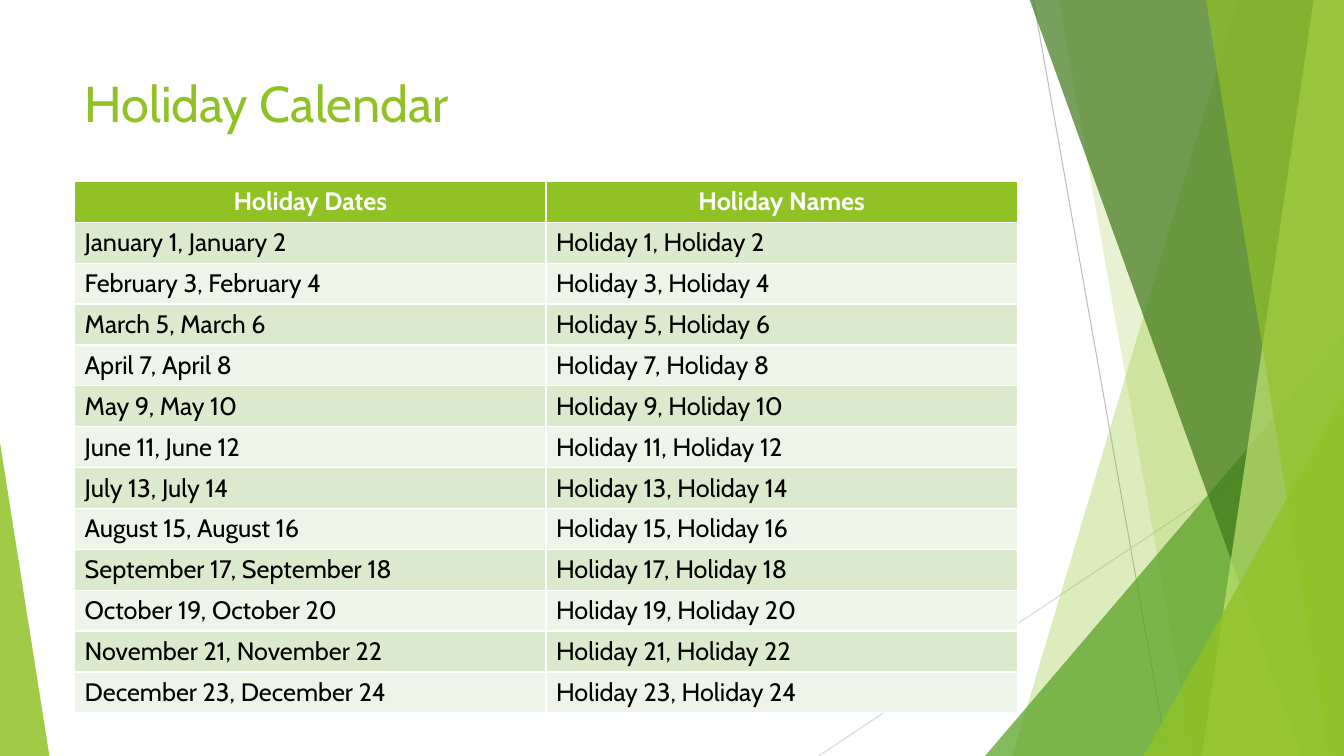
"""Build the Holiday Calendar slide."""
from lxml import etree
from pptx import Presentation
from pptx.dml.color import RGBColor
from pptx.enum import shapes, text
from pptx.oxml import ns
from pptx.util import Inches, Pt

FONT = "Cabin"
LIME = RGBColor(0x90, 0xC2, 0x26)
GREEN = RGBColor(0x54, 0xA0, 0x21)
FOREST = RGBColor(0x3F, 0x78, 0x19)
PALE_LIME = RGBColor(0xC0, 0xE4, 0x74)
GREY = RGBColor(0xBF, 0xBF, 0xBF)
LIGHT_GREY = RGBColor(0xD9, 0xD9, 0xD9)
BAND_DARK = RGBColor(0xDB, 0xE9, 0xCD)
BAND_LIGHT = RGBColor(0xEE, 0xF4, 0xE8)
WHITE = RGBColor(0xFF, 0xFF, 0xFF)
BLACK = RGBColor(0x00, 0x00, 0x00)

RIGHT, TOP, BOTTOM = 13.33, -0.01, 7.5
MONTHS = ["January", "February", "March", "April", "May", "June", "July",
          "August", "September", "October", "November", "December"]


def add_line(s, start, end, color):
    ln = s.shapes.add_connector(shapes.MSO_CONNECTOR.STRAIGHT,
                                *map(Inches, start + end))
    ln.line.color.rgb = color
    ln.line.width = Pt(0.75)
    etree.SubElement(ln._element.spPr, ns.qn("a:effectLst"))


def paint(sp, color, opacity):
    sp.shadow.inherit = False
    sp.line.fill.background()
    sp.fill.solid()
    sp.fill.fore_color.rgb = color
    clr = sp._element.spPr.find(".//" + ns.qn("a:srgbClr"))
    etree.SubElement(clr, ns.qn("a:alpha"), val=str(opacity * 1000))


def add_shard(s, top_x, bottom_x, color, opacity):
    corners = [(RIGHT, TOP), (RIGHT, BOTTOM), (bottom_x, BOTTOM)]
    fb = s.shapes.build_freeform(Inches(top_x), Inches(TOP))
    fb.add_line_segments([(Inches(x), Inches(y)) for x, y in corners])
    paint(fb.convert_to_shape(), color, opacity)


def add_triangle(s, box, apex, color, opacity):
    sp = s.shapes.add_shape(shapes.MSO_SHAPE.ISOSCELES_TRIANGLE,
                            *map(Inches, box))
    sp.adjustments[0] = apex
    paint(sp, color, opacity)


def add_facets(s):
    add_line(s, (10.25, 0), (11.58, 7.5), GREY)
    add_line(s, (13.33, 4.03), (8.12, 7.5), LIGHT_GREY)
    add_shard(s, 12.28, 10.04, LIME, 30)
    add_shard(s, 10.5, 11.83, LIME, 20)
    add_triangle(s, (9.77, 3.33, 3.56, 4.17), 1, GREEN, 72)
    add_shard(s, 10.21, 12.91, FOREST, 70)
    add_shard(s, 13.03, 11.92, PALE_LIME, 70)
    add_shard(s, 11.96, 13.18, LIME, 65)
    add_triangle(s, (11.34, 3.93, 1.99, 3.57), 1, LIME, 80)
    add_triangle(s, (0, 4.39, 0.49, 3.11), 0, LIME, 85)


def set_title(s, title):
    sp = s.shapes.title
    sp.left, sp.top, sp.width, sp.height = map(Inches, (0.74, 0.67, 9.4, 1.44))
    tf = sp.text_frame
    tf.text = title
    tf.vertical_anchor = text.MSO_ANCHOR.TOP
    p = tf.paragraphs[0]
    p.alignment = text.PP_ALIGN.LEFT
    p.font.name, p.font.size = FONT, Pt(36)
    p.font.color.rgb = LIME


def fill_cell(cell, words, fill, color, header):
    cell.fill.solid()
    cell.fill.fore_color.rgb = fill
    cell.vertical_anchor = text.MSO_ANCHOR.MIDDLE
    cell.text = words
    p = cell.text_frame.paragraphs[0]
    p.alignment = text.PP_ALIGN.CENTER if header else text.PP_ALIGN.LEFT
    p.font.name, p.font.size, p.font.bold = FONT, Pt(18), header
    p.font.color.rgb = color


def add_calendar(s):
    rows = [("Holiday Dates", "Holiday Names")]
    for i, month in enumerate(MONTHS):
        a, b = 2 * i + 1, 2 * i + 2
        rows.append((f"{month} {a}, {month} {b}", f"Holiday {a}, Holiday {b}"))
    tbl = s.shapes.add_table(len(rows), 2, Inches(0.74), Inches(1.8),
                             Inches(9.35), Inches(5.2)).table
    for i, row in enumerate(rows):
        header = i == 0
        fill = LIME if header else BAND_DARK if i % 2 else BAND_LIGHT
        for j, words in enumerate(row):
            fill_cell(tbl.cell(i, j), words, fill,
                      WHITE if header else BLACK, header)


def main():
    prs = Presentation()
    prs.slide_width, prs.slide_height = Inches(13.33), Inches(7.5)
    s = prs.slides.add_slide(prs.slide_layouts[5])
    add_facets(s)
    set_title(s, "Holiday Calendar")
    add_calendar(s)
    prs.save("out.pptx")


if __name__ == "__main__":
    main()
